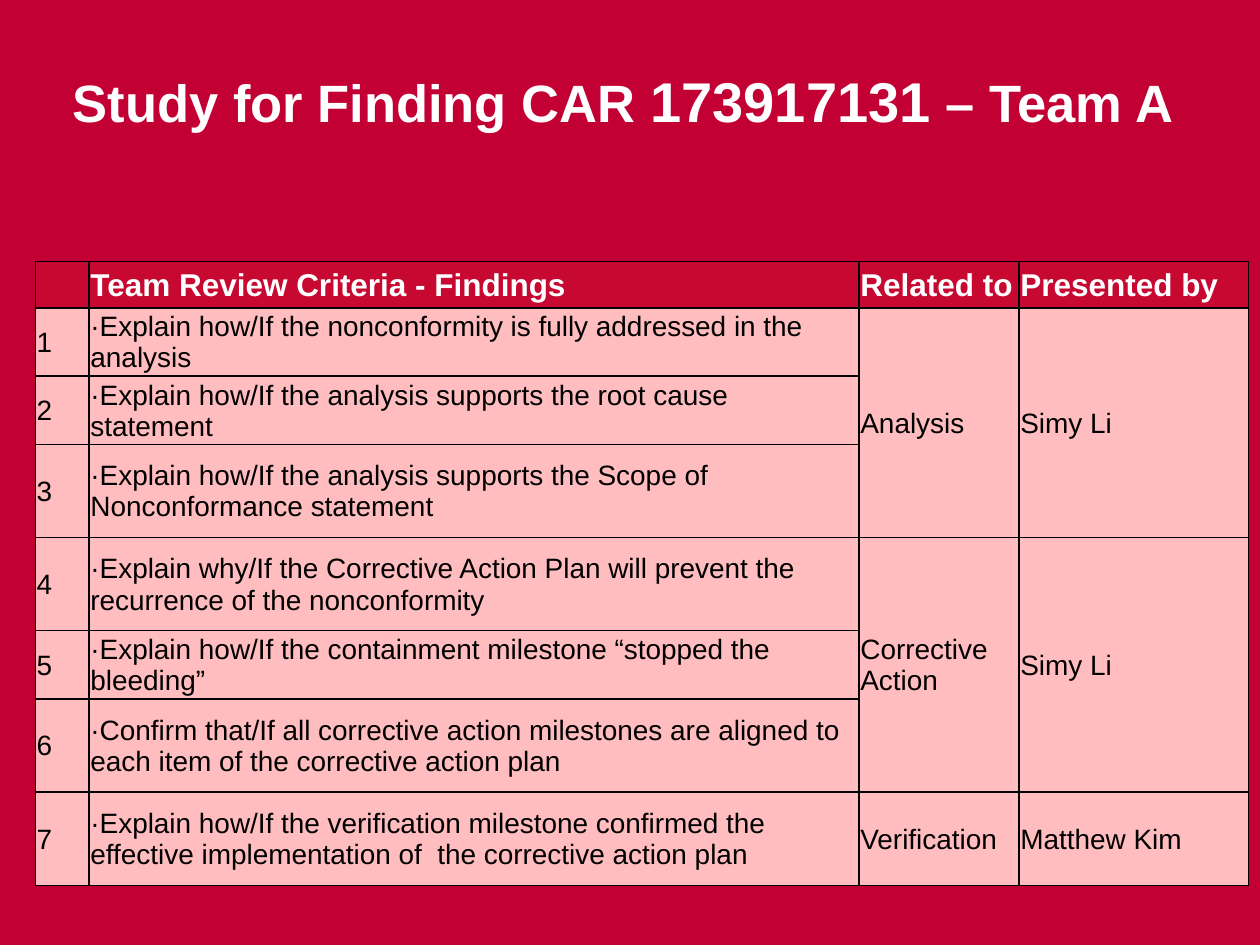
from lxml import etree
from pptx import Presentation
from pptx.dml.color import RGBColor
from pptx.enum.text import MSO_ANCHOR
from pptx.oxml.ns import qn
from pptx.util import Pt

MIDDLE, TOP = MSO_ANCHOR.MIDDLE, MSO_ANCHOR.TOP
FONT = "Arial"
COLORS = {"background": "C30034", "header": "C70932", "body": "FFBDBF",
          "light": "FFFFFF", "dark": "000000"}

TITLE = [("Study for Finding CAR ", 30), ("173917131", 32), (" – Team A", 30)]
HEADINGS = ["", "Team Review Criteria - Findings", "Related to", "Presented by"]
# (related to, presented by, [(criterion, lines the row is sized for)])
GROUPS = [
    ("Analysis", "Simy Li", [
        ("·Explain how/If the nonconformity is fully addressed in the analysis", 1),
        ("·Explain how/If the analysis supports the root cause statement", 1),
        ("·Explain how/If the analysis supports the Scope of Nonconformance statement", 2),
    ]),
    ("Corrective Action", "Simy Li", [
        ("·Explain why/If the Corrective Action Plan will prevent the recurrence"
         " of the nonconformity", 2),
        ("·Explain how/If the containment milestone “stopped the bleeding”", 1),
        ("·Confirm that/If all corrective action milestones are aligned to each item"
         " of the corrective action plan", 2),
    ]),
    ("Verification", "Matthew Kim", [
        ("·Explain how/If the verification milestone confirmed the effective"
         " implementation of  the corrective action plan", 2),
    ]),
]
COLUMN_WIDTHS = [30.8, 440, 91.4, 131]
LINE_HEIGHT = 26.6
TABLE_LEFT, TABLE_TOP = 20.2, 149.3


def rgb(name):
    return RGBColor.from_string(COLORS[name])


def add_run(paragraph, text, size, color, bold):
    run = paragraph.add_run()
    run.text = text
    run.font.name, run.font.size, run.font.bold = FONT, Pt(size), bold
    run.font.color.rgb = rgb(color)


def add_borders(cell):
    properties = cell._tc.get_or_add_tcPr()
    for position, side in enumerate(("a:lnL", "a:lnR", "a:lnT", "a:lnB")):
        line = etree.Element(qn(side), w=str(Pt(1)))
        fill = etree.SubElement(line, qn("a:solidFill"))
        etree.SubElement(fill, qn("a:srgbClr"), val=COLORS["dark"])
        properties.insert(position, line)


def fill_cell(cell, text, header=False):
    cell.fill.solid()
    cell.fill.fore_color.rgb = rgb("header" if header else "body")
    cell.vertical_anchor = MIDDLE
    cell.margin_left = cell.margin_right = cell.margin_top = Pt(0.7)
    cell.margin_bottom = Pt(0)
    add_borders(cell)
    if text:
        size, color = (18, "light") if header else (16, "dark")
        add_run(cell.text_frame.paragraphs[0], text, size, color, header)


def add_title(slide):
    frame = slide.shapes.add_textbox(Pt(34.6), Pt(31), Pt(669.6), Pt(65.5)).text_frame
    frame.word_wrap = True
    frame.vertical_anchor = TOP
    frame.margin_top = Pt(7.2)
    for text, size in TITLE:
        add_run(frame.paragraphs[0], text, size, "light", True)


def add_criteria_table(slide):
    row_lines = [1] + [lines for _, _, criteria in GROUPS for _, lines in criteria]
    table = slide.shapes.add_table(
        len(row_lines), len(HEADINGS), Pt(TABLE_LEFT), Pt(TABLE_TOP),
        Pt(sum(COLUMN_WIDTHS)), Pt(LINE_HEIGHT * sum(row_lines))).table
    for column, width in zip(table.columns, COLUMN_WIDTHS):
        column.width = Pt(width)
    for row, lines in zip(table.rows, row_lines):
        row.height = Pt(LINE_HEIGHT * lines)

    for column, heading in enumerate(HEADINGS):
        fill_cell(table.cell(0, column), heading, header=True)
    number = 1
    for related, presenter, criteria in GROUPS:
        first = number
        for criterion, _ in criteria:
            owners = (related, presenter) if number == first else ("", "")
            for column, text in enumerate((str(number), criterion, *owners)):
                fill_cell(table.cell(number, column), text)
            number += 1
        if len(criteria) > 1:
            for column in (2, 3):
                table.cell(first, column).merge(table.cell(number - 1, column))


def main():
    presentation = Presentation()
    presentation.slide_width, presentation.slide_height = Pt(720), Pt(540)
    slide = presentation.slides.add_slide(presentation.slide_layouts[6])
    slide.background.fill.solid()
    slide.background.fill.fore_color.rgb = rgb("background")
    add_title(slide)
    add_criteria_table(slide)
    presentation.save("out.pptx")


if __name__ == "__main__":
    main()
